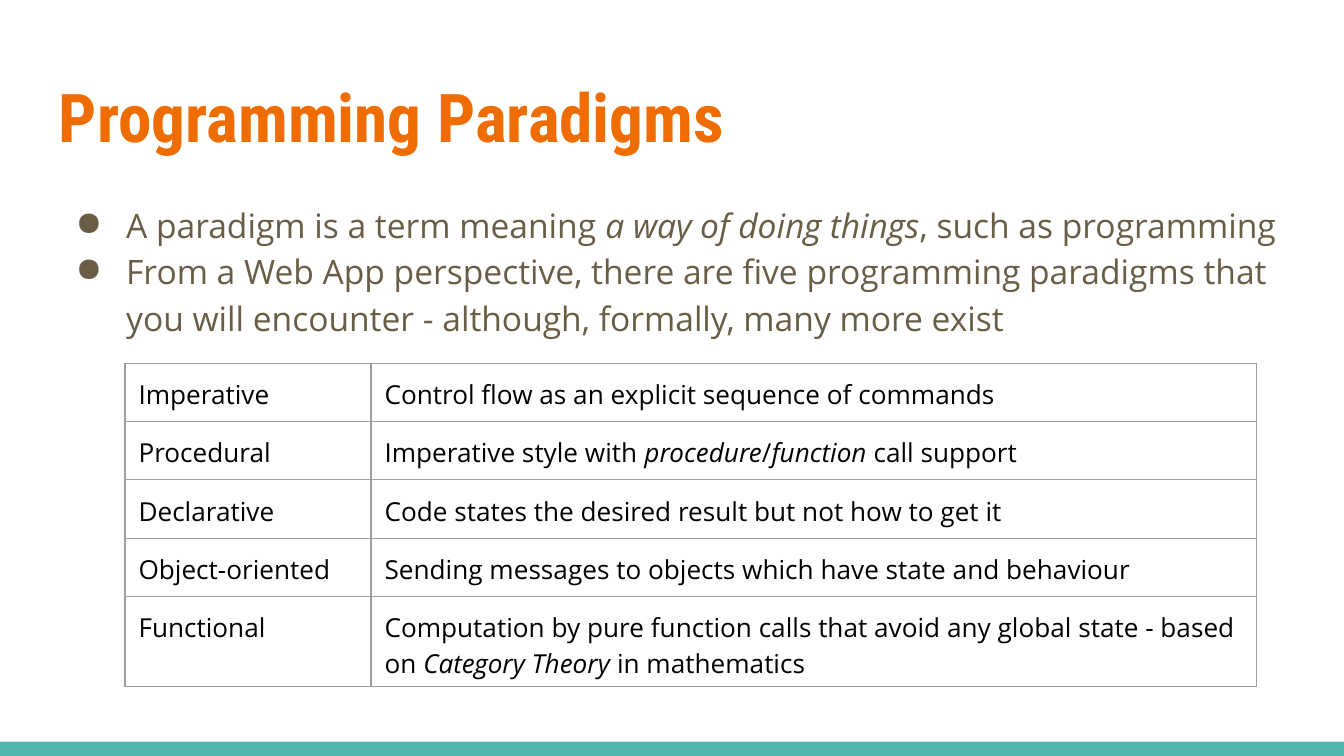
"""Build the slide on programming paradigms."""
from typing import NamedTuple

import pptx
import pptx.dml.color
import pptx.enum.shapes
import pptx.enum.text
import pptx.oxml
import pptx.oxml.ns
import pptx.util

Pt = pptx.util.Pt
INSET = 7.2
NAMESPACE = pptx.oxml.ns.nsdecls("a")


class Style(NamedTuple):
    font: str
    size: float
    colour: str
    bold: bool = False


class Paradigm(NamedTuple):
    name: str
    meaning: str


TITLE = Style("Roboto Condensed", 36, "EF6C00", True)
BODY = Style("Open Sans", 18, "695D46")
CELL = Style("Open Sans", 14, "000000")
TEAL, GREY = "4DB6AC", "9E9E9E"

POINTS = [
    "A paradigm is a term meaning *a way of doing things*, such as programming",
    "From a Web App perspective, there are five programming paradigms that "
    "you will encounter - although, formally, many more exist",
]
PARADIGMS = [
    Paradigm("Imperative", "Control flow as an explicit sequence of commands"),
    Paradigm("Procedural", "Imperative style with *procedure*/*function* call support"),
    Paradigm("Declarative", "Code states the desired result but not how to get it"),
    Paradigm("Object-oriented", "Sending messages to objects which have state and behaviour"),
    Paradigm("Functional", "Computation by pure function calls that avoid any global state "
             "- based on *Category Theory* in mathematics"),
]


def rgb(colour: str):
    return pptx.dml.color.RGBColor.from_string(colour)


def write(para, text: str, style: Style) -> None:
    for index, part in enumerate(text.split("*")):
        span = para.add_run()
        span.text = part
        span.font.name = style.font
        span.font.size = Pt(style.size)
        span.font.bold = style.bold
        span.font.italic = index % 2 == 1
        span.font.color.rgb = rgb(style.colour)


def add_bullet(para, colour: str) -> None:
    properties = para._p.get_or_add_pPr()
    properties.set("marL", str(Pt(36)))
    properties.set("indent", str(Pt(-27)))
    for xml in (
        f'<a:buClr {NAMESPACE}><a:srgbClr val="{colour}"/></a:buClr>',
        f'<a:buChar {NAMESPACE} char="●"/>',
    ):
        properties.append(pptx.oxml.parse_xml(xml))


def add_text_frame(page, left: float, top: float, width: float, height: float):
    box = page.shapes.add_textbox(Pt(left), Pt(top), Pt(width), Pt(height))
    frame = box.text_frame
    frame.word_wrap = True
    frame.margin_left = frame.margin_right = Pt(INSET)
    frame.margin_top = frame.margin_bottom = Pt(INSET)
    return frame


def fill_cell(cell, text: str) -> None:
    cell.margin_left = cell.margin_right = Pt(INSET)
    cell.margin_top = cell.margin_bottom = Pt(INSET)
    properties = cell._tc.get_or_add_tcPr()
    for side in "LRTB":
        properties.append(pptx.oxml.parse_xml(
            f'<a:ln{side} {NAMESPACE} w="{Pt(0.75)}"><a:solidFill>'
            f'<a:srgbClr val="{GREY}"/></a:solidFill></a:ln{side}>'
        ))
    cell.fill.background()
    write(cell.text_frame.paragraphs[0], text, CELL)


def add_paradigm_table(page) -> None:
    table = page.shapes.add_table(
        len(PARADIGMS), 2, Pt(67), Pt(194.6), Pt(606.2), Pt(172.8)
    ).table
    table.first_row = table.horz_banding = False
    for column, width in zip(table.columns, (131.8, 474.4)):
        column.width = Pt(width)
    for row, paradigm in zip(table.rows, PARADIGMS):
        row.height = Pt(30.2)
        for cell, text in zip(row.cells, paradigm):
            fill_cell(cell, text)


def main() -> None:
    deck = pptx.Presentation()
    deck.slide_width, deck.slide_height = Pt(720), Pt(405)
    page = deck.slides.add_slide(deck.slide_layouts[6])

    band = page.shapes.add_shape(
        pptx.enum.shapes.MSO_SHAPE.RECTANGLE, Pt(0), Pt(397.3), Pt(720), Pt(7.7)
    )
    band.shadow.inherit = False
    band.fill.solid()
    band.fill.fore_color.rgb = rgb(TEAL)
    band.line.fill.background()

    heading = add_text_frame(page, 24.5, 35.3, 671, 55.4)
    heading.vertical_anchor = pptx.enum.text.MSO_ANCHOR.BOTTOM
    write(heading.paragraphs[0], "Programming Paradigms", TITLE)

    body = add_text_frame(page, 24.5, 99.4, 671, 260)
    for index, point in enumerate(POINTS):
        para = body.add_paragraph() if index else body.paragraphs[0]
        add_bullet(para, BODY.colour)
        para.line_spacing = 1.15
        write(para, point, BODY)

    add_paradigm_table(page)
    deck.save("out.pptx")


if __name__ == "__main__":
    main()
